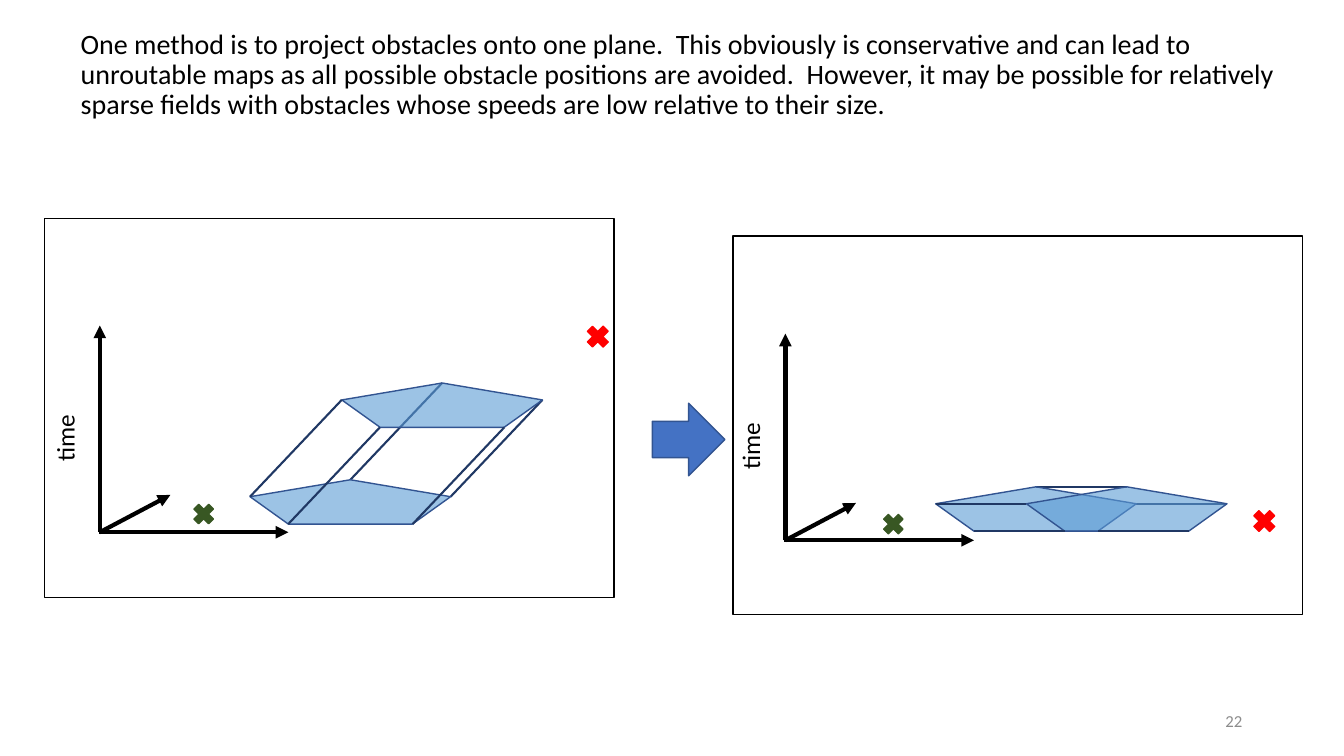
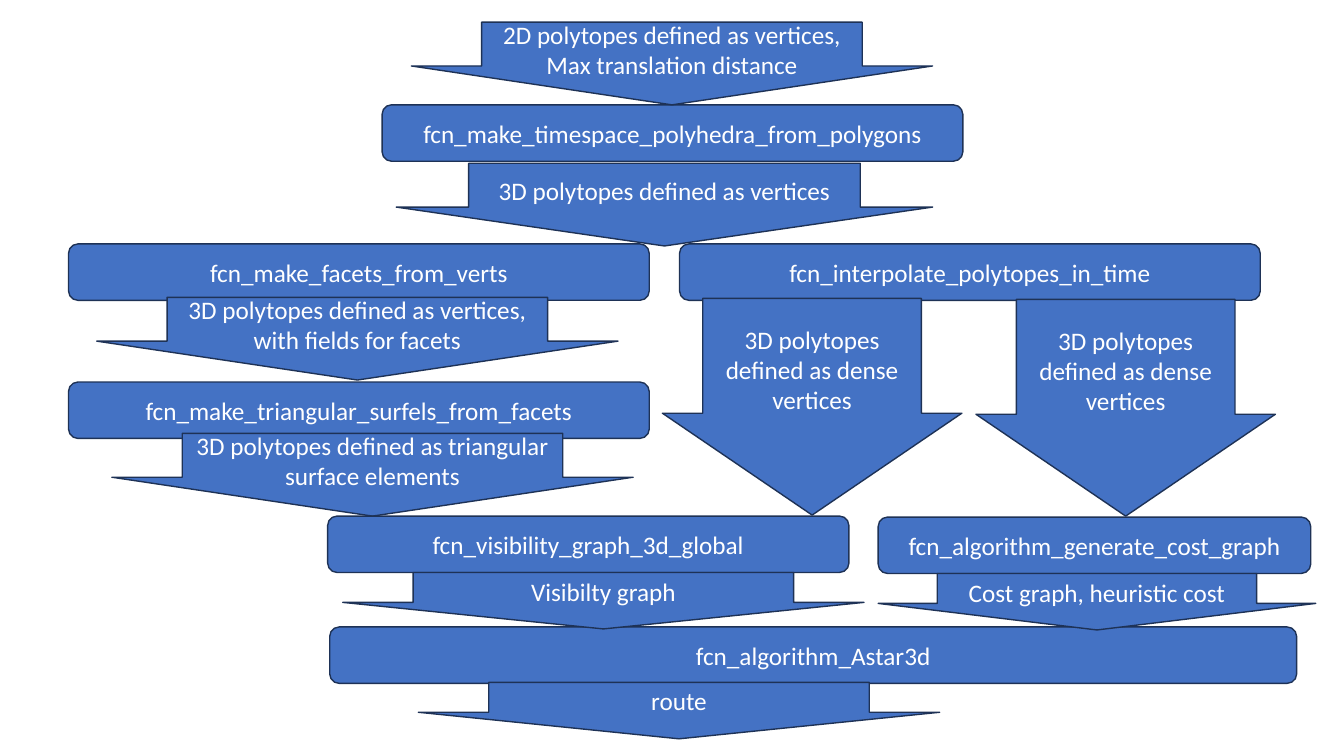
from lxml import etree
from pptx import Presentation
from pptx.dml.color import RGBColor
from pptx.enum.shapes import MSO_CONNECTOR, MSO_SHAPE
from pptx.enum.text import MSO_ANCHOR, MSO_AUTO_SIZE, PP_ALIGN
from pptx.oxml.ns import qn
from pptx.util import Inches, Pt

STRAIGHT = MSO_CONNECTOR.STRAIGHT
RECT, ROUND = MSO_SHAPE.RECTANGLE, MSO_SHAPE.ROUNDED_RECTANGLE
DOWN, RIGHT = MSO_SHAPE.DOWN_ARROW, MSO_SHAPE.RIGHT_ARROW
PENTA, CROSS = MSO_SHAPE.REGULAR_PENTAGON, MSO_SHAPE.MATH_MULTIPLY
MIDDLE, FIXED = MSO_ANCHOR.MIDDLE, MSO_AUTO_SIZE.NONE
LEFT, CENTER, FAR = PP_ALIGN.LEFT, PP_ALIGN.CENTER, PP_ALIGN.RIGHT

FONT = "Calibri"
BLACK, WHITE, GREY = "000000", "FFFFFF", "8C8C8C"
BLUE, SKY, EDGE, NAVY, RIM = "4472C4", "5B9BD5", "325491", "203864", "1E3256"
RED, GREEN = "FF0000", "385723"

COLS, ROWS = 1333, 750
CELL = Inches(13.33) / COLS

PANEL = (565, 376)
BASE = (199, 44)
CORNERS = {"top": (0.5, 0), "right": (1, 0.38), "left": (0, 0.38),
           "low left": (0.19, 1), "low right": (0.81, 1)}
BACK, FRONT = ("top", "right"), ("left", "low left", "low right")

WIDE, MID, SLIM = 576, 517, 297
STEP, TALL, LONG = 56, 82, 215

INTRO = ("One method is to project obstacles onto one plane.  This obviously is "
         "conservative and can lead to unroutable maps as all possible obstacle "
         "positions are avoided.  However, it may be possible for relatively sparse "
         "fields with obstacles whose speeds are low relative to their size.")
VERTS = "3D polytopes defined as vertices"
DENSE = "3D polytopes defined as dense vertices"

FLOW = [
    (ROUND, (379, 104, WIDE, STEP), ["fcn_make_timespace_polyhedra_from_polygons"]),
    (DOWN, (408, 22, MID, TALL),
     ["2D polytopes defined as vertices,", "Max translation distance"]),
    (DOWN, (393, 162, 532, TALL), [VERTS]),
    (ROUND, (68, 242, WIDE, STEP), ["fcn_make_facets_from_verts"]),
    (DOWN, (96, 295, MID, TALL), [VERTS + ", with fields for facets"]),
    (ROUND, (68, 379, WIDE, STEP), ["fcn_make_triangular_surfels_from_facets"]),
    (DOWN, (111, 430, MID, TALL),
     ["3D polytopes defined as triangular surface elements"]),
    (ROUND, (674, 242, WIDE, STEP), ["fcn_interpolate_polytopes_in_time"]),
    (DOWN, (657, 296, SLIM, LONG), [DENSE]),
    (ROUND, (325, 512, MID, STEP), ["fcn_visibility_graph_3d_global"]),
    (ROUND, (327, 622, 959, STEP), ["fcn_algorithm_Astar3d"]),
    (DOWN, (415, 677, MID, STEP), ["route"]),
    (DOWN, (340, 568, MID, STEP), ["Visibilty graph"]),
    (DOWN, (968, 297, SLIM, LONG), [DENSE]),
    (ROUND, (871, 513, 429, STEP), ["fcn_algorithm_generate_cost_graph"]),
    (DOWN, (871, 569, 434, STEP), ["Cost graph, heuristic cost"]),
]


def grid(*cells):
    """Turn grid cells into slide lengths."""
    return [round(cell * CELL) for cell in cells]


def tint(hue):
    """Return the colour for a hex string."""
    return RGBColor.from_string(hue)


def write(frame, lines, size, hue, align=LEFT):
    """Fill a text frame with one paragraph per line."""
    frame.word_wrap = True
    for row, line in enumerate(lines):
        para = frame.add_paragraph() if row else frame.paragraphs[0]
        para.alignment = align
        run = para.add_run()
        run.text = line
        run.font.name, run.font.size = FONT, Pt(size)
        run.font.color.rgb = tint(hue)


def draw(slide, kind, box, fill, rim, alpha=None):
    """Add a preset shape, unfilled when no fill is given."""
    shape = slide.shapes.add_shape(kind, *grid(*box))
    shape.shadow.inherit = False
    shape.line.color.rgb, shape.line.width = tint(rim), Pt(1)
    if fill is None:
        shape.fill.background()
        return shape
    shape.fill.solid()
    shape.fill.fore_color.rgb = tint(fill)
    if alpha:
        paint = shape.element.spPr.find(qn("a:solidFill")).find(qn("a:srgbClr"))
        etree.SubElement(paint, qn("a:alpha"), val=str(alpha * 1000))
    return shape


def link(slide, start, end, hue, width, arrow=False):
    """Add a straight line, with an arrowhead at its end if asked."""
    line = slide.shapes.add_connector(STRAIGHT, *grid(*start, *end))
    line.line.color.rgb, line.line.width = tint(hue), Pt(width)
    props = line.element.spPr
    if arrow:
        etree.SubElement(props.find(qn("a:ln")), qn("a:tailEnd"), type="triangle")
    etree.SubElement(props, qn("a:effectLst"))


def label(slide, box, text, size, hue, align=LEFT, turn=0):
    """Add a text box and return it."""
    note = slide.shapes.add_textbox(*grid(*box))
    note.rotation = turn
    write(note.text_frame, [text], size, hue, align)
    return note


def axes(slide, x, y):
    """Draw the three axes from their origin, with the time label."""
    for dx, dy, back in ((70, -37, 0), (187, 0, 1), (0, -205, 0)):
        link(slide, (x - back, y), (x + dx, y + dy), BLACK, 3, True)
    label(slide, (x - 106, y - 151, 142, 40), "time", 18, BLACK, turn=270)


def sweep(slide, x, y, shift, names):
    """Join the named corners of the base to their shifted twins."""
    for name in names:
        across, down = CORNERS[name]
        start = (x + across * BASE[0], y + down * BASE[1])
        end = (start[0] + shift[0], start[1] + shift[1])
        link(slide, start, end, NAVY, 1.5)


def scene(slide, left, top, origin, base, shift, start, goal):
    """Draw a framed plot of an obstacle swept over time."""
    x, y = left + base[0], top + base[1]
    sweep(slide, x, y, shift, BACK)
    axes(slide, left + origin[0], top + origin[1])
    for dx, dy in ((0, 0), shift):
        draw(slide, PENTA, (x + dx, y + dy, *BASE), SKY, EDGE, 60)
    sweep(slide, x, y, shift, FRONT)
    for (dx, dy), side, hue in ((goal, 30, RED), (start, 28, GREEN)):
        draw(slide, CROSS, (left + dx, top + dy, side, side), hue, hue)
    draw(slide, RECT, (left, top, *PANEL), None, BLACK)


def project(deck):
    """Build the slide that flattens obstacles onto one plane."""
    slide = deck.slides.add_slide(deck.slide_layouts[5])
    title = slide.shapes.title
    title.left, title.top, title.width, title.height = grid(70, 9, 1244, 132)
    frame = title.text_frame
    frame.auto_size, frame.vertical_anchor = FIXED, MIDDLE
    write(frame, [INTRO], 20, BLACK)
    frame.paragraphs[0].line_spacing = 0.9
    page = label(slide, (942, 695, 300, 40), "22", 12, GREY, FAR)
    page.text_frame.vertical_anchor = MIDDLE
    scene(slide, 44, 217, (55, 311), (204, 259), (91, -96), (144, 279), (534, 102))
    scene(slide, 727, 234, (52, 302), (201, 249), (90, 0), (145, 272), (512, 268))
    draw(slide, RIGHT, (647, 400, 72, 72), BLUE, EDGE)


def chain(deck):
    """Build the slide that shows the chain of functions."""
    slide = deck.slides.add_slide(deck.slide_layouts[6])
    for kind, box, lines in FLOW:
        shape = draw(slide, kind, box, BLUE, RIM)
        if kind == DOWN:
            shape.adjustments[0], shape.adjustments[1] = 0.73, 0.47
        shape.text_frame.vertical_anchor = MIDDLE
        write(shape.text_frame, lines, 18, WHITE, CENTER)


def main():
    """Build and save the deck."""
    deck = Presentation()
    deck.slide_width, deck.slide_height = grid(COLS, ROWS)
    project(deck)
    chain(deck)
    deck.save("out.pptx")


if __name__ == "__main__":
    main()
